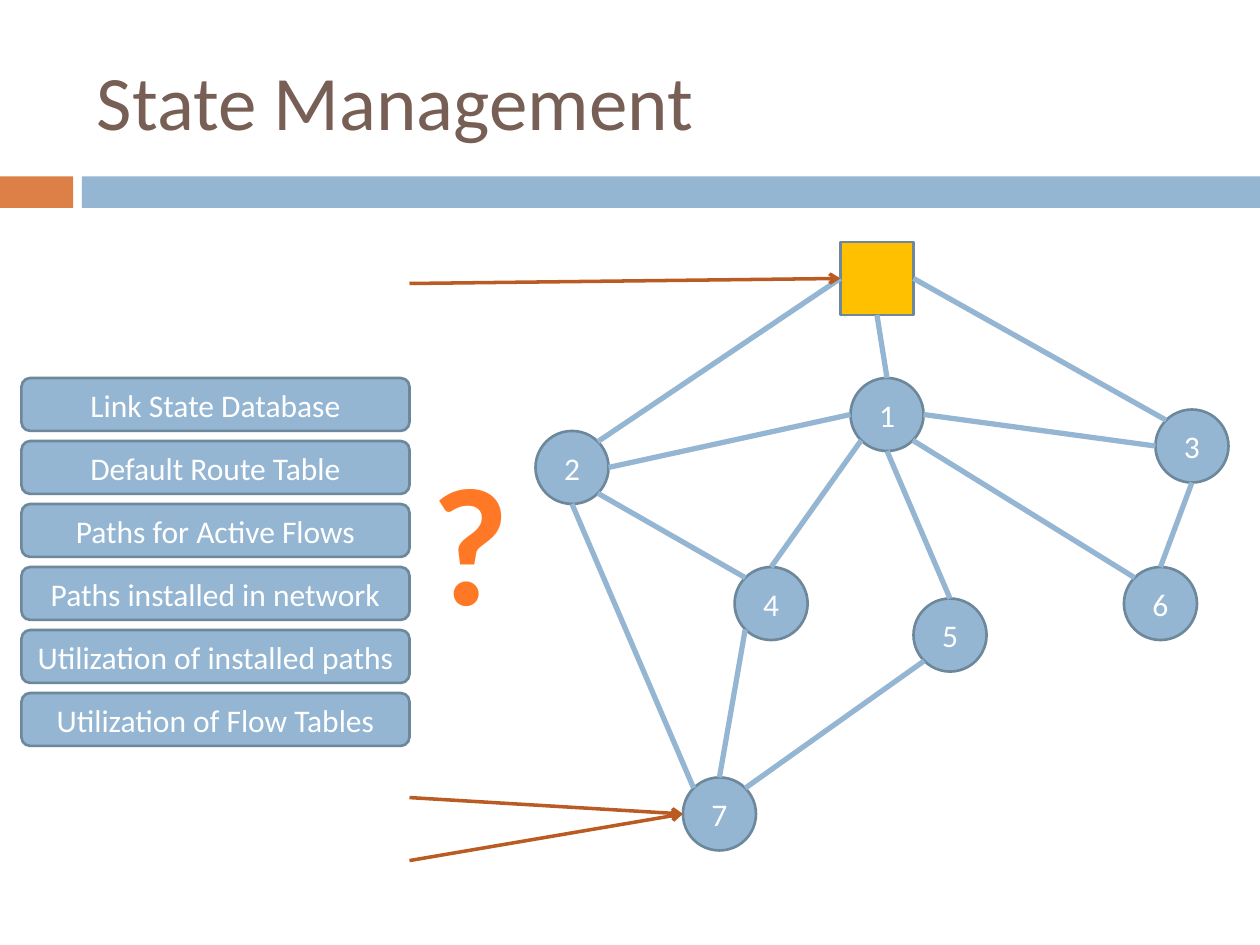
from dataclasses import dataclass
from math import sqrt

from lxml.etree import SubElement
from pptx import Presentation
from pptx.dml.color import RGBColor as Rgb
from pptx.enum.shapes import MSO_CONNECTOR as Connector, MSO_SHAPE as Shape
from pptx.enum.text import MSO_ANCHOR as Anchor, MSO_AUTO_SIZE as AutoSize, PP_ALIGN as Align
from pptx.oxml.ns import qn
from pptx.util import Inches, Pt


@dataclass(frozen=True)
class Theme:
    font: str = "Calibri"
    title: str = "775F55"
    blue: str = "94B6D2"
    outline: str = "6D879B"
    orange: str = "DD8047"
    gold: str = "FFC000"
    arrow: str = "B95B22"
    mark_top: str = "FF7825"
    mark_bottom: str = "BF5210"
    white: str = "FFFFFF"
    title_size: int = 44
    label_size: int = 18
    mark_size: int = 96
    outline_width: float = 1.5
    link_width: float = 3
    arrow_width: float = 2


THEME = Theme()
NODE_SIZE = 0.58
CONTROLLER = (6.67, 1.92)
SWITCHES = {
    "1": (6.75, 3),
    "2": (4.25, 3.42),
    "3": (9.17, 3.25),
    "4": (5.83, 4.5),
    "5": (7.25, 4.75),
    "6": (8.92, 4.5),
    "7": (5.42, 6.17),
}
SIDES = {
    "n": (0, -1), "s": (0, 1), "w": (-1, 0), "e": (1, 0),
    "nw": (-1, -1), "ne": (1, -1), "sw": (-1, 1), "se": (1, 1),
}
UPLINKS = [("w", "2", "ne"), ("s", "1", "n"), ("e", "3", "nw")]
LINKS = [
    ("2", "s", "7", "nw"), ("4", "sw", "7", "n"), ("5", "sw", "7", "ne"),
    ("2", "e", "1", "w"), ("2", "se", "4", "nw"), ("1", "sw", "4", "n"),
    ("1", "s", "5", "n"), ("3", "w", "1", "e"), ("1", "se", "6", "nw"),
    ("3", "s", "6", "n"),
]
STATES = [
    "Link State Database",
    "Default Route Table",
    "Paths for Active Flows",
    "Paths installed in network",
    "Utilization of installed paths",
    "Utilization of Flow Tables",
]


def port(corner, side):
    across, down = SIDES[side]
    radius = NODE_SIZE / 2
    reach = radius / sqrt(2) if across and down else radius
    return corner[0] + radius + across * reach, corner[1] + radius + down * reach


def style_text(para, size, color=None, align=Align.CENTER):
    para.alignment = align
    font = para.runs[0].font
    font.name, font.size = THEME.font, Pt(size)
    if color:
        font.color.rgb = Rgb.from_string(color)
    return font


def add_block(page, kind, left, top, width, height, fill, outlined=True, label=None):
    block = page.shapes.add_shape(kind, Inches(left), Inches(top), Inches(width), Inches(height))
    block.shadow.inherit = False
    block.fill.solid()
    block.fill.fore_color.rgb = Rgb.from_string(fill)
    if outlined:
        block.line.color.rgb = Rgb.from_string(THEME.outline)
        block.line.width = Pt(THEME.outline_width)
    else:
        block.line.fill.background()
    if label:
        frame = block.text_frame
        frame.margin_left = frame.margin_right = Inches(0.05)
        frame.vertical_anchor = Anchor.MIDDLE
        frame.text = label
        style_text(frame.paragraphs[0], THEME.label_size, THEME.white)


def add_line(page, start, end, color, width, arrow=False):
    ends = [Inches(value) for value in (*start, *end)]
    line = page.shapes.add_connector(Connector.STRAIGHT, *ends)
    line.line.color.rgb = Rgb.from_string(color)
    line.line.width = Pt(width)
    if arrow:
        SubElement(line.line._get_or_add_ln(), qn("a:tailEnd"), type="arrow")
    SubElement(line._element.spPr, qn("a:effectLst"))


def add_text(page, left, top, width, height, text):
    box = page.shapes.add_textbox(Inches(left), Inches(top), Inches(width), Inches(height))
    frame = box.text_frame
    frame.word_wrap = True
    frame.text = text
    return frame


def add_header(page):
    add_block(page, Shape.RECTANGLE, 0, 1.4, 0.58, 0.25, THEME.orange, outlined=False)
    add_block(page, Shape.RECTANGLE, 0.65, 1.4, 9.35, 0.25, THEME.blue, outlined=False)
    frame = add_text(page, 0.67, 0.25, 8.92, 1.08, "State Management")
    frame.vertical_anchor = Anchor.MIDDLE
    style_text(frame.paragraphs[0], THEME.title_size, THEME.title, Align.LEFT)


def add_network(page):
    add_block(page, Shape.RECTANGLE, *CONTROLLER, NODE_SIZE, NODE_SIZE, THEME.gold)
    for name, corner in SWITCHES.items():
        add_block(page, Shape.OVAL, *corner, NODE_SIZE, NODE_SIZE, THEME.blue, label=name)
    ends = [(port(SWITCHES[a], out), port(SWITCHES[b], into)) for a, out, b, into in LINKS]
    ends += [(port(CONTROLLER, out), port(SWITCHES[b], into)) for out, b, into in UPLINKS]
    for start, end in ends:
        add_line(page, start, end, THEME.blue, THEME.link_width)


def add_question_mark(page):
    frame = add_text(page, 3.33, 3.42, 0.67, 1.72, "?")
    frame.auto_size = AutoSize.SHAPE_TO_FIT_TEXT
    font = style_text(frame.paragraphs[0], THEME.mark_size)
    font.bold = True
    font.fill.gradient()
    font.fill.gradient_angle = 270
    shades = [(0.25, THEME.mark_top), (1, THEME.mark_bottom)]
    for stop, (position, color) in zip(font.fill.gradient_stops, shades):
        stop.position = position
        stop.color.rgb = Rgb.from_string(color)
    font._element.set("spc", "50")


def main():
    deck = Presentation()
    deck.slide_width, deck.slide_height = Inches(10), Inches(7.5)
    page = deck.slides.add_slide(deck.slide_layouts[6])
    add_header(page)
    add_network(page)
    for row, state in enumerate(STATES):
        add_block(page, Shape.ROUNDED_RECTANGLE, 0.17, 3 + row * 0.5, 3.08, 0.42, THEME.blue, label=state)
    add_question_mark(page)
    for height, target in [(2.25, CONTROLLER), (6.33, SWITCHES["7"]), (6.83, SWITCHES["7"])]:
        add_line(page, (3.25, height), port(target, "w"), THEME.arrow, THEME.arrow_width, arrow=True)
    deck.save("out.pptx")


if __name__ == "__main__":
    main()
